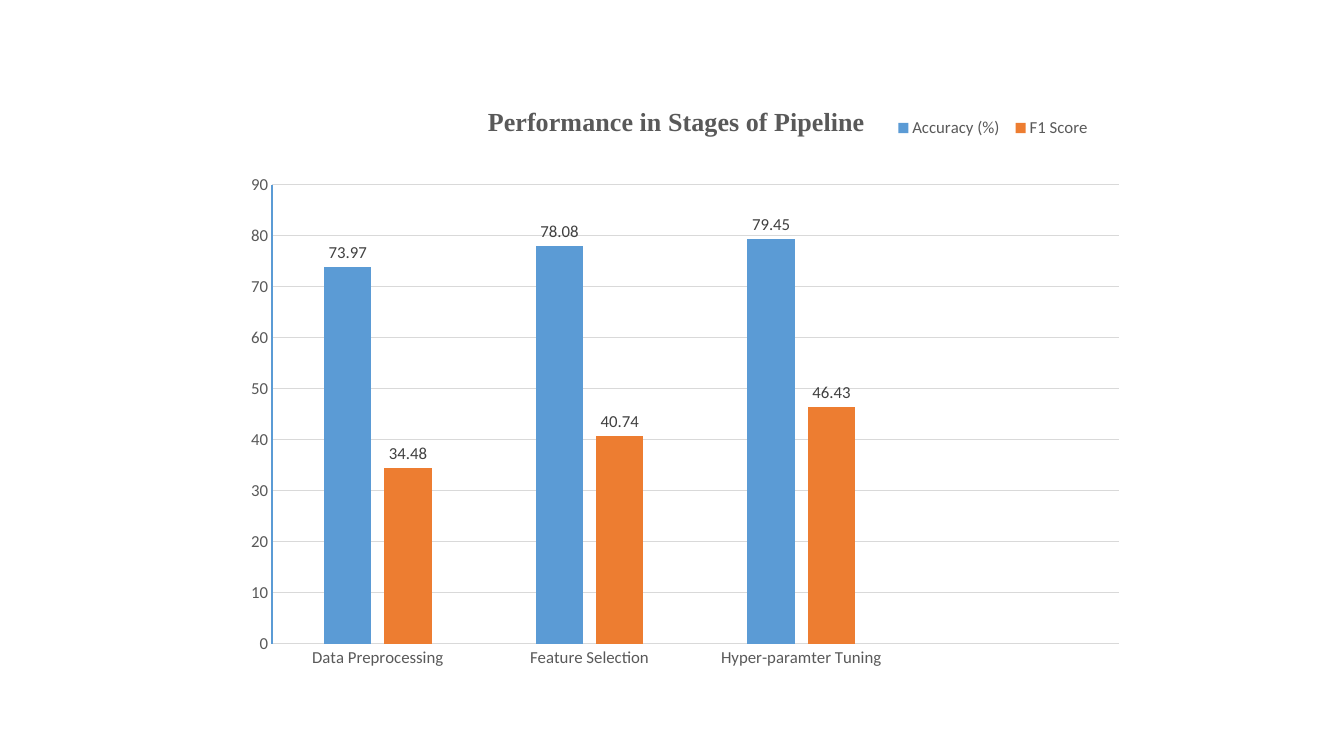
from dataclasses import dataclass

from pptx import Presentation
from pptx.chart.data import CategoryChartData
from pptx.dml.color import RGBColor
from pptx.enum.chart import (XL_CHART_TYPE, XL_LABEL_POSITION,
                             XL_LEGEND_POSITION, XL_TICK_MARK)
from pptx.oxml import parse_xml
from pptx.oxml.ns import nsdecls
from pptx.util import Pt

COLUMN = XL_CHART_TYPE.COLUMN_CLUSTERED
ABOVE = XL_LABEL_POSITION.OUTSIDE_END
BOTTOM = XL_LEGEND_POSITION.BOTTOM
NO_TICK = XL_TICK_MARK.NONE
PIXEL = 9071  # EMU per pixel at 100.8 pixels to the inch


@dataclass(frozen=True)
class Theme:
    """Colours, fonts and type sizes of the slide."""
    blue: str = "5B9BD5"
    orange: str = "ED7D31"
    grid: str = "D9D9D9"
    text: str = "595959"
    label: str = "404040"
    sans: str = "Calibri"
    serif: str = "Times New Roman"
    small: float = 12
    large: float = 18.6


theme = Theme()
left, top, width, height = 224, 80, 896, 598


def style(font, color, size=theme.small, name=theme.sans, bold=False):
    """Set the face, size, weight and colour of a font."""
    font.name, font.size, font.bold = name, Pt(size), bold
    font.color.rgb = RGBColor.from_string(color)


def place(part, index, box, inner=False):
    """Give a chart part a fixed box, in slide pixels."""
    for old in part.xpath("c:layout"):
        part.remove(old)
    x, y, *size = box
    marks = '<c:layoutTarget val="inner"/>' if inner else ""
    marks += '<c:xMode val="edge"/><c:yMode val="edge"/>'
    shares = [(x - left) / width, (y - top) / height]
    shares += [size[0] / width, size[1] / height] if size else []
    for tag, share in zip("xywh", shares):
        marks += f'<c:{tag} val="{share:.4f}"/>'
    part.insert(index, parse_xml(
        f'<c:layout {nsdecls("c")}><c:manualLayout>{marks}'
        '</c:manualLayout></c:layout>'))


deck = Presentation()
deck.slide_width, deck.slide_height = 1344 * PIXEL, 756 * PIXEL
slide = deck.slides.add_slide(deck.slide_layouts[6])

# Data, with a free slot at the right
data = CategoryChartData()
data.categories = ["Data Preprocessing", "Feature Selection",
                   "Hyper-paramter Tuning", ""]
data.add_series("Accuracy (%)", [73.97, 78.08, 79.45, None])
data.add_series("F1 Score", [34.48, 40.74, 46.43, None])
frame = slide.shapes.add_chart(
    COLUMN, *(n * PIXEL for n in (left, top, width, height)), data)
chart = frame.chart
style(chart.font, theme.text)

# Title
chart.has_title = True
line = chart.chart_title.text_frame.paragraphs[0]
run = line.add_run()
run.text = "Performance in Stages of Pipeline"
style(run.font, theme.text, theme.large, theme.serif, True)

# Legend
chart.has_legend = True
legend = chart.legend
legend.position = BOTTOM
legend.include_in_layout = False
style(legend.font, theme.text)

# Axes
for axis, color in ((chart.category_axis, theme.grid),
                    (chart.value_axis, theme.blue)):
    axis.major_tick_mark = axis.minor_tick_mark = NO_TICK
    style(axis.tick_labels.font, theme.text)
    axis.format.line.color.rgb = RGBColor.from_string(color)
    axis.format.line.width = Pt(0.75)
scale = chart.value_axis
scale.minimum_scale, scale.maximum_scale, scale.major_unit = 0, 90, 10
scale.has_major_gridlines = True
grid = scale.major_gridlines.format.line
grid.color.rgb = RGBColor.from_string(theme.grid)
grid.width = Pt(0.75)

# Columns and their values
plot = chart.plots[0]
plot.gap_width, plot.overlap = 219, -27
plot.vary_by_categories = False
for series, color in zip(plot.series, (theme.blue, theme.orange)):
    series.format.fill.solid()
    series.format.fill.fore_color.rgb = RGBColor.from_string(color)
    series.invert_if_negative = False
    labels = series.data_labels
    labels.show_value = True
    labels.position = ABOVE
    style(labels.font, theme.label)

# Fixed places of the chart parts
for name, index, box, inner in (
        ("title", 1, (483, 101), False),
        ("plotArea", 0, (272, 185, 847, 459), True),
        ("legend", 1, (888, 115, 210, 26), False)):
    part = chart.element.xpath(f"c:chart/c:{name}")[0]
    place(part, index, box, inner)

deck.save("out.pptx")
